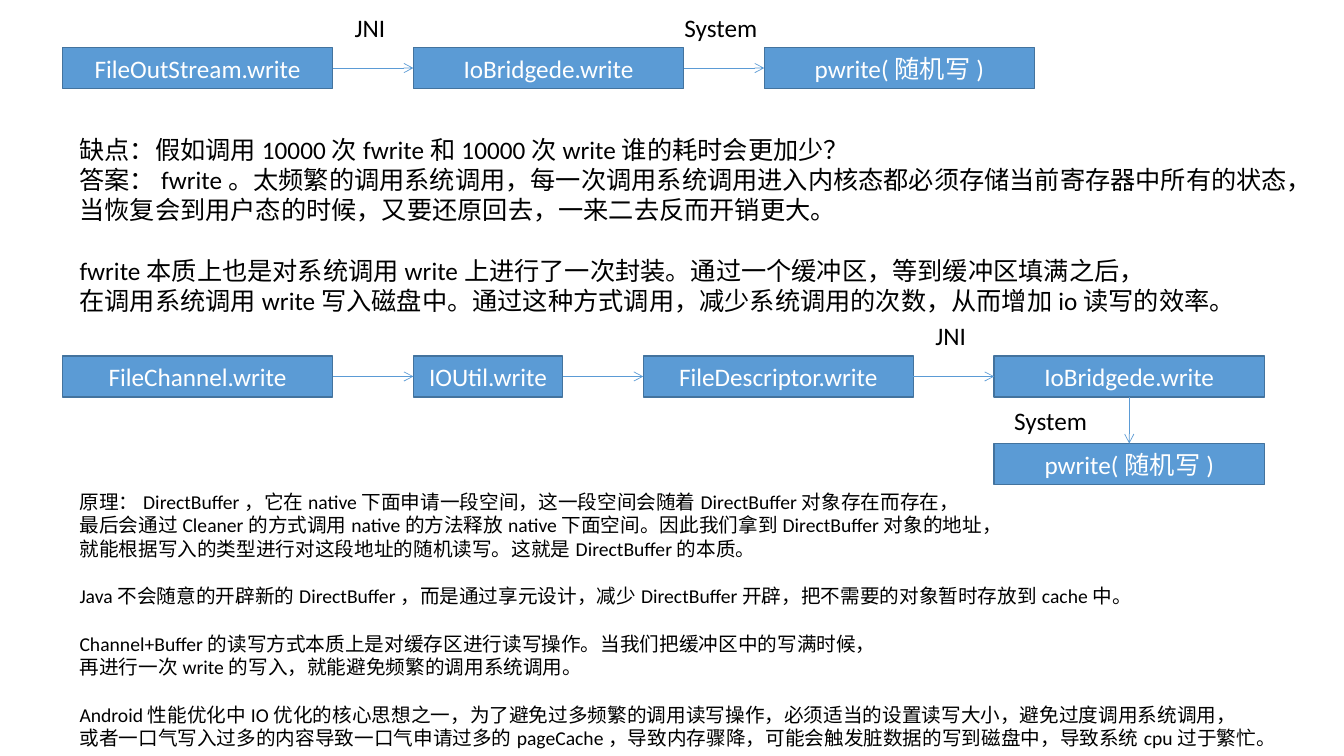
from dataclasses import dataclass

from lxml import etree
from pptx import Presentation
from pptx.dml.color import RGBColor
from pptx.enum.shapes import MSO_CONNECTOR, MSO_SHAPE
from pptx.enum.text import MSO_ANCHOR, MSO_AUTO_SIZE, PP_ALIGN
from pptx.oxml.ns import qn
from pptx.util import Inches, Pt

RECTANGLE = MSO_SHAPE.RECTANGLE
STRAIGHT = MSO_CONNECTOR.STRAIGHT
MIDDLE = MSO_ANCHOR.MIDDLE
GROW = MSO_AUTO_SIZE.SHAPE_TO_FIT_TEXT
CENTER = PP_ALIGN.CENTER
TOP, LEFT, BOTTOM, RIGHT = range(4)
BLANK_LAYOUT = 6

ROW_LEFT, CALL_W, CALL_H, GAP = 0.62, 2.68, 0.41, 0.8
IOUTIL_W = 1.48
STREAM_Y, CHANNEL_Y, PWRITE_Y = 0.47, 3.53, 4.4
LABEL_H = 0.4
JNI_W, SYSTEM_W = 0.57, 1.04

STREAM_CALLS = [
    ("FileOutStream.write", CALL_W),
    ("IoBridgede.write", CALL_W),
    ("pwrite(随机写)", CALL_W),
]
CHANNEL_CALLS = [
    ("FileChannel.write", CALL_W),
    ("IOUtil.write", IOUTIL_W),
    ("FileDescriptor.write", CALL_W),
    ("IoBridgede.write", CALL_W),
]
FWRITE_NOTES = [
    [
        "缺点：假如调用10000次fwrite和10000次write谁的耗时会更加少？",
        "答案：fwrite。太频繁的调用系统调用，每一次调用系统调用进入内核态都必须存储当前寄存器中所有的状态，",
        "当恢复会到用户态的时候，又要还原回去，一来二去反而开销更大。",
    ],
    [
        "fwrite本质上也是对系统调用write上进行了一次封装。通过一个缓冲区，等到缓冲区填满之后，",
        "在调用系统调用write写入磁盘中。通过这种方式调用，减少系统调用的次数，从而增加io读写的效率。",
    ],
]
BUFFER_NOTES = [
    [
        "原理：DirectBuffer，它在native下面申请一段空间，这一段空间会随着DirectBuffer对象存在而存在，",
        "最后会通过Cleaner的方式调用native的方法释放native下面空间。因此我们拿到DirectBuffer对象的地址，",
        "就能根据写入的类型进行对这段地址的随机读写。这就是DirectBuffer的本质。",
    ],
    ["Java不会随意的开辟新的DirectBuffer，而是通过享元设计，减少DirectBuffer开辟，把不需要的对象暂时存放到cache中。"],
    [
        "Channel+Buffer的读写方式本质上是对缓存区进行读写操作。当我们把缓冲区中的写满时候，",
        "再进行一次write的写入，就能避免频繁的调用系统调用。",
    ],
    [
        "Android性能优化中IO优化的核心思想之一，为了避免过多频繁的调用读写操作，必须适当的设置读写大小，避免过度调用系统调用，",
        "或者一口气写入过多的内容导致一口气申请过多的pageCache，导致内存骤降，可能会触发脏数据的写到磁盘中，导致系统cpu过于繁忙。",
    ],
]


@dataclass(frozen=True)
class Theme:
    font: str = "Calibri"
    blue: RGBColor = RGBColor(0x5B, 0x9B, 0xD5)
    border: RGBColor = RGBColor(0x43, 0x73, 0x9E)
    white: RGBColor = RGBColor(0xFF, 0xFF, 0xFF)
    black: RGBColor = RGBColor(0, 0, 0)
    body: int = 18
    small: int = 14
    border_width: float = 1
    arrow_width: float = 0.5
    line_height: float = 1.22


class FlowSlide:
    def __init__(self, slide, theme):
        self.shapes = slide.shapes
        self.theme = theme

    def add_text(self, paragraph, text, size, color):
        run = paragraph.add_run()
        run.text = text
        run.font.name = self.theme.font
        run.font.size = Pt(size)
        run.font.color.rgb = color

    def call(self, name, x, y, width):
        box = self.shapes.add_shape(
            RECTANGLE, Inches(x), Inches(y), Inches(width), Inches(CALL_H))
        box.shadow.inherit = False
        box.fill.solid()
        box.fill.fore_color.rgb = self.theme.blue
        box.line.color.rgb = self.theme.border
        box.line.width = Pt(self.theme.border_width)
        box.text_frame.vertical_anchor = MIDDLE
        paragraph = box.text_frame.paragraphs[0]
        paragraph.alignment = CENTER
        self.add_text(paragraph, name, self.theme.body, self.theme.white)
        return box

    def arrow(self, source, source_side, target, target_side):
        link = self.shapes.add_connector(STRAIGHT, 0, 0, 0, 0)
        link.begin_connect(source, source_side)
        link.end_connect(target, target_side)
        link.line.color.rgb = self.theme.blue
        link.line.width = Pt(self.theme.arrow_width)
        properties = link._element.spPr
        etree.SubElement(properties.find(qn("a:ln")), qn("a:tailEnd"), type="arrow")
        etree.SubElement(properties, qn("a:effectLst"))

    def chain(self, calls, y):
        """Draw a row of calls joined by arrows and return its last box."""
        x, previous = ROW_LEFT, None
        for name, width in calls:
            box = self.call(name, x, y, width)
            if previous is not None:
                self.arrow(previous, RIGHT, box, LEFT)
            x, previous = x + width + GAP, box
        return previous

    def notes(self, groups, x, y, width, height, size):
        """Add groups of lines, set apart by the height of one line."""
        box = self.shapes.add_textbox(
            Inches(x), Inches(y), Inches(width), Inches(height))
        frame = box.text_frame
        frame.word_wrap = False
        frame.auto_size = GROW
        paragraph = None
        for group in groups:
            for index, line in enumerate(group):
                if paragraph is None:
                    paragraph = frame.paragraphs[0]
                else:
                    paragraph = frame.add_paragraph()
                    if index == 0:
                        paragraph.space_before = Pt(size * self.theme.line_height)
                self.add_text(paragraph, line, size, self.theme.black)

    def label(self, text, x, y, width):
        self.notes([[text]], x, y, width, LABEL_H, self.theme.body)


def main():
    deck = Presentation()
    deck.slide_width, deck.slide_height = Inches(13.33), Inches(7.5)
    theme = Theme()
    flow = FlowSlide(deck.slides.add_slide(deck.slide_layouts[BLANK_LAYOUT]), theme)

    flow.chain(STREAM_CALLS, STREAM_Y)
    flow.label("JNI", 3.42, STREAM_Y - LABEL_H, JNI_W)
    flow.label("System", 6.69, STREAM_Y - LABEL_H, SYSTEM_W)
    flow.notes(FWRITE_NOTES, 0.69, 1.28, 12.32, 1.92, theme.body)

    bridge = flow.chain(CHANNEL_CALLS, CHANNEL_Y)
    flow.label("JNI", 9.18, CHANNEL_Y - LABEL_H, JNI_W)
    pwrite = flow.call("pwrite(随机写)", 9.86, PWRITE_Y, CALL_W)
    flow.arrow(bridge, BOTTOM, pwrite, TOP)
    flow.label("System", 9.96, 3.97, SYSTEM_W)
    flow.notes(BUFFER_NOTES, 0.69, 4.81, 12.02, 2.69, theme.small)

    deck.save("out.pptx")


if __name__ == "__main__":
    main()
